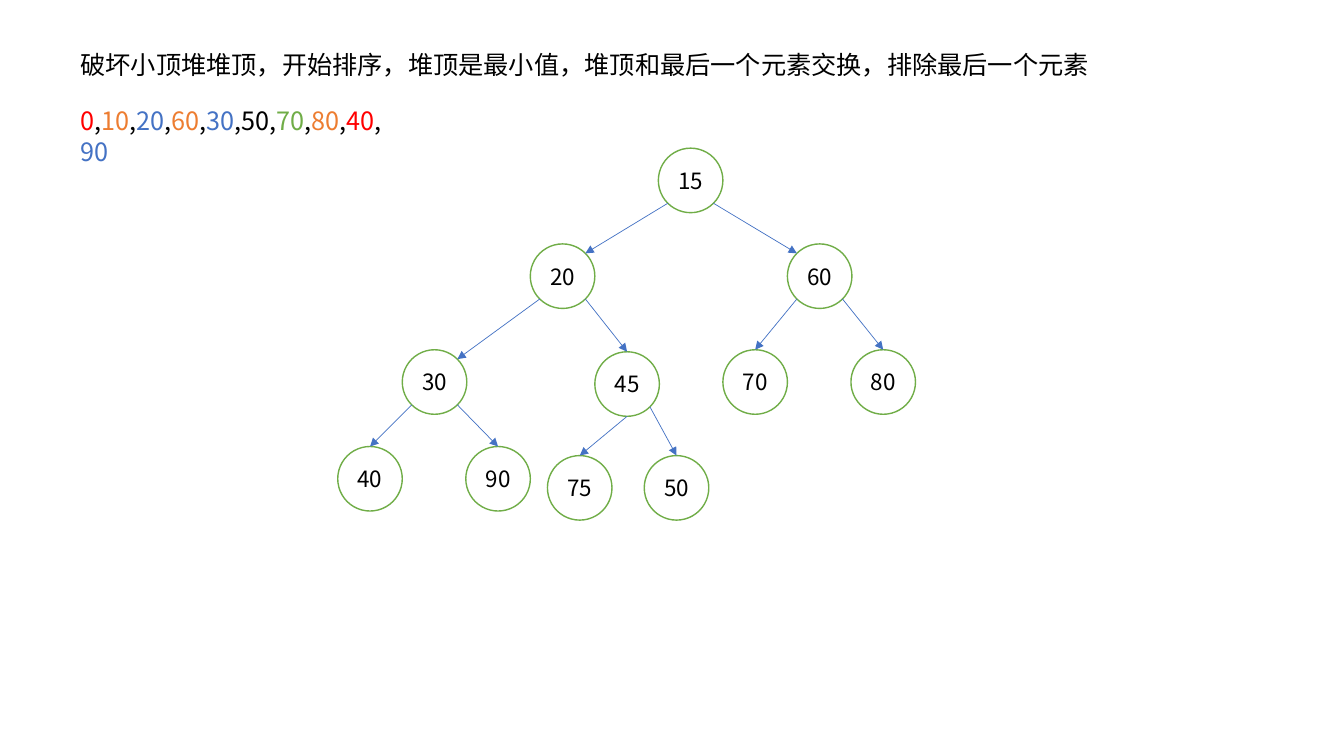
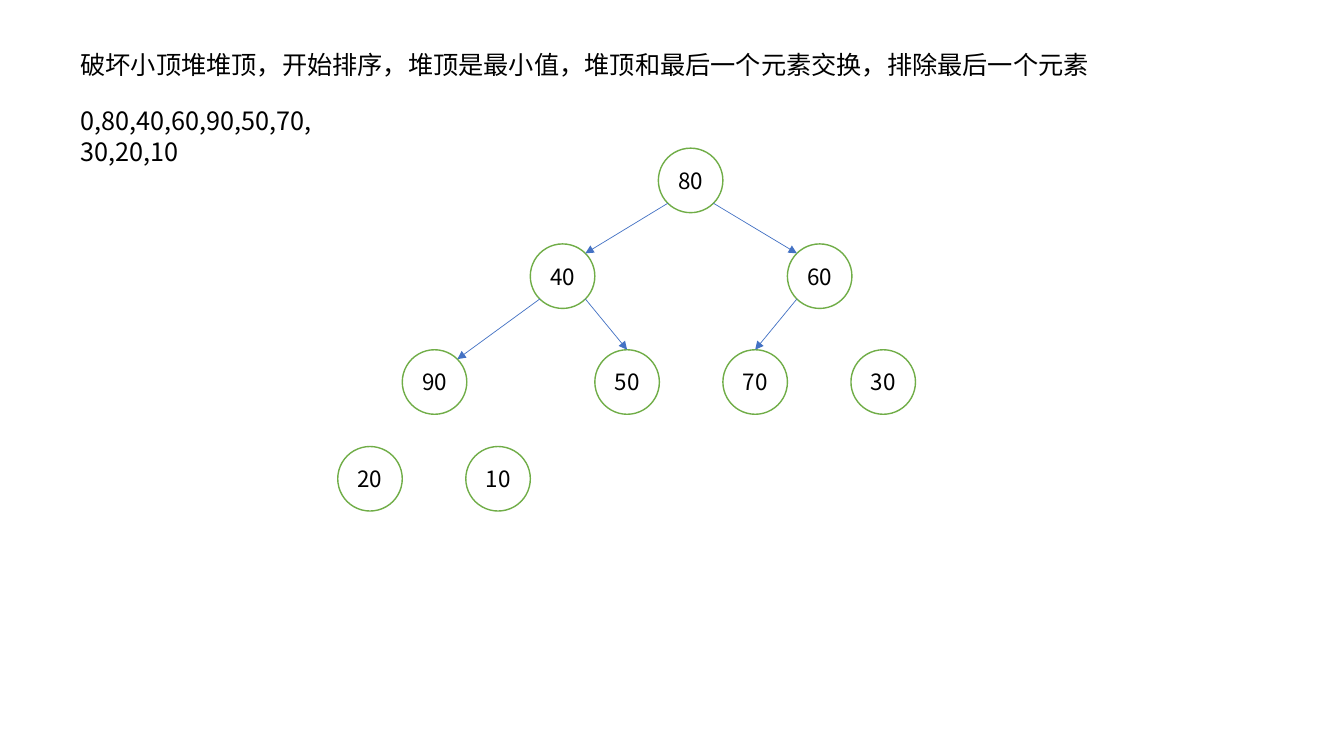
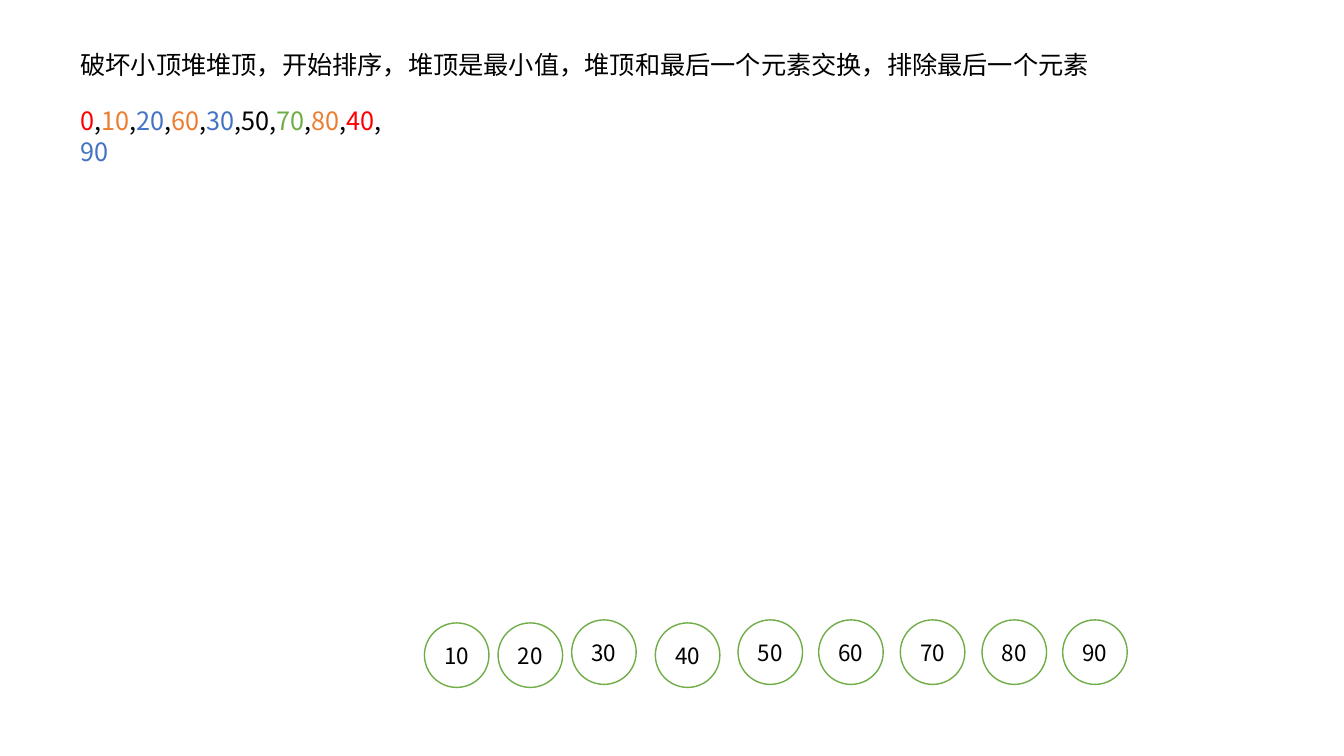
import math
import pptx
import pptx.util
import pptx.dml.color
import pptx.enum.shapes
import pptx.enum.text
import pptx.oxml.ns
import lxml.etree

Inches = pptx.util.Inches
RGB = pptx.dml.color.RGBColor.from_string
qn = pptx.oxml.ns.qn

THEME = {
    "font": "Noto Sans CJK SC",
    "black": "000000", "white": "FFFFFF", "red": "FF0000",
    "orange": "ED7D31", "blue": "4472C4", "green": "70AD47",
    "text_size": 18, "node_size": 16, "node_line": 1, "edge_line": 0.5,
}
TITLE = "破坏小顶堆堆顶，开始排序，堆顶是最小值，堆顶和最后一个元素交换，排除最后一个元素"
DIAMETER = 0.64
DIAGONAL = math.sqrt(0.5)
SITES = {"top": (0, -1), "bottom": (0, 1),
         "nw": (-DIAGONAL, -DIAGONAL), "ne": (DIAGONAL, -DIAGONAL),
         "sw": (-DIAGONAL, DIAGONAL), "se": (DIAGONAL, DIAGONAL)}
ENTRY_SITES = {2: "ne", 3: "nw", 4: "ne"}
EXIT_SITES = {10: "bottom"}

COLOURED_LIST = [
    ("0", "red"), (",", "black"), ("10", "orange"), (",", "black"),
    ("20", "blue"), (",", "black"), ("60", "orange"), (",", "black"),
    ("30", "blue"), (",50,", "black"), ("70", "green"), (",", "black"),
    ("80", "orange"), (",", "black"), ("40", "red"), (",\v", "black"), ("90", "blue"),
]
PLAIN_LIST = [("0,80,40,60,90,50,70,\v30,20,10", "black")]

TREE = [(6.53, 1.47), (5.26, 2.42), (7.81, 2.42),
        (3.99, 3.47), (5.9, 3.47), (7.17, 3.47), (8.44, 3.47),
        (3.35, 4.43), (4.62, 4.43)]
GROWN_TREE = TREE[:4] + [(5.9, 3.49)] + TREE[5:] + [(5.43, 4.52), (6.39, 4.52)]
SORTED_ROW = [(4.21, 6.18), (4.94, 6.18), (5.67, 6.15), (6.5, 6.18), (7.32, 6.15),
              (8.12, 6.15), (8.93, 6.15), (9.74, 6.15), (10.54, 6.15)]

SLIDES = [
    {"list": COLOURED_LIST, "list_width": 3.24, "places": GROWN_TREE, "last_child": 11,
     "values": [15, 20, 60, 30, 45, 70, 80, 40, 90, 75, 50]},
    {"list": PLAIN_LIST, "list_width": 5.15, "places": TREE, "last_child": 6,
     "values": [80, 40, 60, 90, 50, 70, 30, 20, 10]},
    {"list": COLOURED_LIST, "list_width": 3.24, "places": SORTED_ROW, "last_child": 1,
     "values": range(10, 100, 10)},
]


def add_runs(p, runs, size):
    for text, colour in runs:
        for i, part in enumerate(text.split("\v")):
            if i:
                p.add_line_break()
            r = p.add_run()
            r.text = part
            for name, value in {"name": THEME["font"], "size": pptx.util.Pt(size)}.items():
                setattr(r.font, name, value)
            r.font.color.rgb = RGB(THEME[colour])
            ea = lxml.etree.SubElement(r.font._element, qn("a:ea"))
            ea.set("typeface", THEME["font"])


def site_point(place, site):
    return [Inches(start + DIAMETER / 2 * (1 + shift))
            for start, shift in zip(place, SITES[site])]


prs = pptx.Presentation()
prs.slide_width = Inches(13.33)
prs.slide_height = Inches(7.5)

for content in SLIDES:
    s = prs.slides.add_slide(prs.slide_layouts[6])

    for top, width, runs in [(0.44, 10.3, [(TITLE, "black")]),
                             (1, content["list_width"], content["list"])]:
        tf = s.shapes.add_textbox(Inches(0.7), Inches(top), Inches(width), Inches(0.4)).text_frame
        tf.word_wrap = True
        add_runs(tf.paragraphs[0], runs, THEME["text_size"])

    places = content["places"]
    for (left, top), value in zip(places, content["values"]):
        sp = s.shapes.add_shape(pptx.enum.shapes.MSO_SHAPE.OVAL, Inches(left), Inches(top),
                                Inches(DIAMETER), Inches(DIAMETER))
        sp.shadow.inherit = False
        sp.fill.solid()
        sp.fill.fore_color.rgb = RGB(THEME["white"])
        sp.line.color.rgb = RGB(THEME["green"])
        sp.line.width = pptx.util.Pt(THEME["node_line"])
        tf = sp.text_frame
        node_format = {"margin_left": 0, "margin_right": 0, "word_wrap": True,
                       "vertical_anchor": pptx.enum.text.MSO_ANCHOR.MIDDLE}
        for name, setting in node_format.items():
            setattr(tf, name, setting)
        p = tf.paragraphs[0]
        p.alignment = pptx.enum.text.PP_ALIGN.CENTER
        add_runs(p, [(str(value), "black")], THEME["node_size"])

    for child in range(2, content["last_child"] + 1):
        parent = child // 2
        exit_site = EXIT_SITES.get(child, "se" if child % 2 else "sw")
        start = site_point(places[parent - 1], exit_site)
        end = site_point(places[child - 1], ENTRY_SITES.get(child, "top"))
        edge = s.shapes.add_connector(pptx.enum.shapes.MSO_CONNECTOR.STRAIGHT, *start, *end)
        edge.line.color.rgb = RGB(THEME["blue"])
        edge.line.width = pptx.util.Pt(THEME["edge_line"])
        tail = lxml.etree.SubElement(edge.line._get_or_add_ln(), qn("a:tailEnd"))
        tail.set("type", "triangle")
        lxml.etree.SubElement(edge._element.spPr, qn("a:effectLst"))

prs.save("out.pptx")
